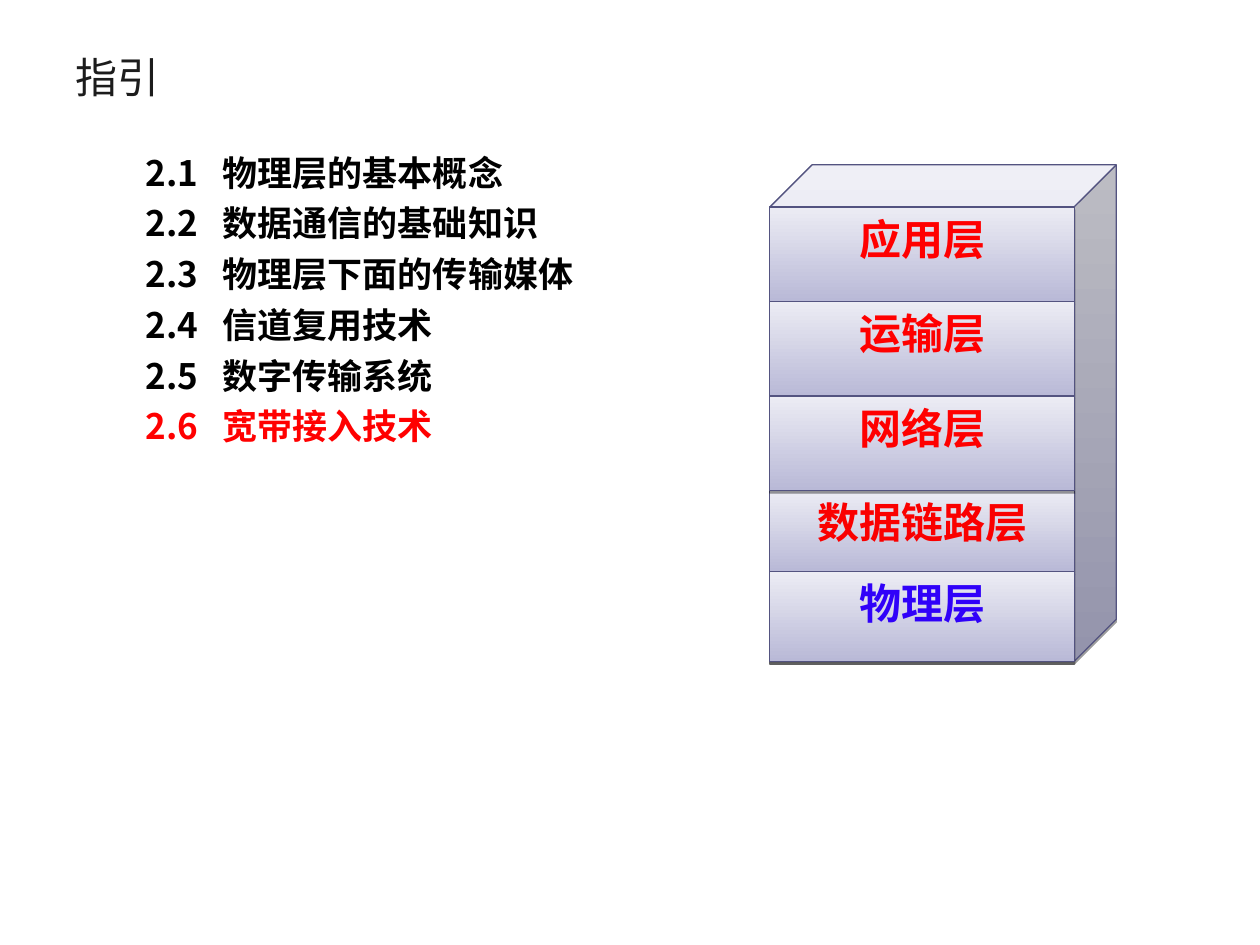
from lxml import etree
from pptx import Presentation
from pptx.dml.color import RGBColor
from pptx.enum.shapes import MSO_CONNECTOR, MSO_SHAPE
from pptx.enum.text import MSO_ANCHOR, PP_ALIGN
from pptx.oxml.ns import qn
from pptx.util import Pt

CUBE, RECT = MSO_SHAPE.CUBE, MSO_SHAPE.RECTANGLE
STRAIGHT = MSO_CONNECTOR.STRAIGHT
TOP, MIDDLE = MSO_ANCHOR.TOP, MSO_ANCHOR.MIDDLE
LEFT, CENTER = PP_ALIGN.LEFT, PP_ALIGN.CENTER


def colour(value):
    return RGBColor.from_string(value)


class Deck:
    font = "Noto Sans CJK SC"
    edge = "535380"
    gradient = ("B9B9D7", "ECECF4")

    def __init__(self, slide):
        self.slide = slide
        self.stack = slide.shapes.add_group_shape().shapes

    def style(self, paragraph, size, ink, bold=False, align=LEFT):
        paragraph.alignment = align
        for run in paragraph.runs:
            font = run.font
            font.name, font.size, font.bold = self.font, Pt(size), bold
            font.color.rgb = colour(ink)
            east_asian = etree.SubElement(run._r.get_or_add_rPr(), qn("a:ea"))
            east_asian.set("typeface", self.font)

    def text_box(self, x, y, width, height, anchor=TOP):
        box = self.slide.shapes.add_textbox(Pt(x), Pt(y), Pt(width), Pt(height))
        frame = box.text_frame
        frame.word_wrap = True
        frame.vertical_anchor = anchor
        return frame

    def title(self, text, x, y, width, height):
        frame = self.text_box(x, y, width, height, MIDDLE)
        frame.text = text
        self.style(frame.paragraphs[0], 24, "1C1C1C")

    def contents(self, entries, x, y, width, height):
        frame = self.text_box(x, y, width, height)
        frame.text = "\n".join(f"{number}\t{name}" for number, name, _ in entries)
        for index, (paragraph, entry) in enumerate(zip(frame.paragraphs, entries)):
            # The hanging indent lines up the names after the numbers
            properties = paragraph._p.get_or_add_pPr()
            properties.set("marL", str(Pt(72)))
            properties.set("indent", str(Pt(-44)))
            self.style(paragraph, 20, entry[2], bold=True)
            paragraph.space_before = Pt(5 if index else 0)

    def block(self, kind, x, y, width, height):
        block = self.stack.add_shape(kind, Pt(x), Pt(y), Pt(width), Pt(height))
        block.fill.gradient()
        block.fill.gradient_angle = 90
        for stop, shade in zip(block.fill.gradient_stops, self.gradient):
            stop.color.rgb = colour(shade)
        block.line.color.rgb = colour(self.edge)
        block.line.width = Pt(0.75)
        # Short shadow straight down
        block.shadow.inherit = False
        effects = block._element.spPr.find(qn("a:effectLst"))
        shadow = etree.SubElement(effects, qn("a:outerShdw"), blurRad="0",
                                  dist=str(Pt(1.6)), dir="5400000", rotWithShape="0")
        black = etree.SubElement(shadow, qn("a:srgbClr"), val="000000")
        etree.SubElement(black, qn("a:alpha"), val="38000")
        return block

    def layer(self, name, ink, x, y, width, height):
        frame = self.block(RECT, x, y, width, height).text_frame
        frame.word_wrap = True
        frame.vertical_anchor = TOP
        frame.text = name
        self.style(frame.paragraphs[0], 24, ink, bold=True, align=CENTER)

    def line(self, x1, y1, x2, y2):
        line = self.stack.add_connector(STRAIGHT, Pt(x1), Pt(y1), Pt(x2), Pt(y2))
        line.line.color.rgb = colour(self.edge)
        line.line.width = Pt(0.75)
        etree.SubElement(line._element.spPr, qn("a:effectLst"))


def main():
    presentation = Presentation()
    presentation.slide_width, presentation.slide_height = Pt(720), Pt(540)
    deck = Deck(presentation.slides.add_slide(presentation.slide_layouts[6]))

    # Title and chapter contents
    deck.title("指引", 36, 21.6, 648, 44)
    deck.contents([
        ("2.1", "物理层的基本概念", "000000"),
        ("2.2", "数据通信的基础知识", "000000"),
        ("2.3", "物理层下面的传输媒体", "000000"),
        ("2.4", "信道复用技术", "000000"),
        ("2.5", "数字传输系统", "000000"),
        ("2.6", "宽带接入技术", "FF0000"),
    ], 48.2, 82.8, 612, 368.6)

    # Solid body behind the protocol stack
    left, width = 439.9, 174.2
    right = left + width
    cube = deck.block(CUBE, left, 94.2, 198, 283.8)
    cube.adjustments[0] = 0.122

    # Layer borders from top to bottom
    application, transport, network, link = (118.2 + 54 * row for row in range(4))
    physical, base = 326.7, 378
    frame_end = 364.3

    # Layers from back to front: name, colour, top, bottom, lines, end of sides
    layers = [
        ("应用层", "FF0000", application, transport, [transport], transport),
        ("运输层", "FF0000", transport, network, [network], network),
        ("数据链路层", "FA0000", link, physical, [link, frame_end], frame_end),
        ("网络层", "FF0000", network, link, [], link),
        ("物理层", "3001F9", physical, base, [], None),
    ]
    for name, ink, top, bottom, borders, side_end in layers:
        deck.layer(name, ink, left, top, width, bottom - top)
        for y in borders:
            deck.line(left, y, right, y)
        if side_end:
            for x in (left, right):
                deck.line(x, top, x, side_end)

    presentation.save("out.pptx")


if __name__ == "__main__":
    main()
